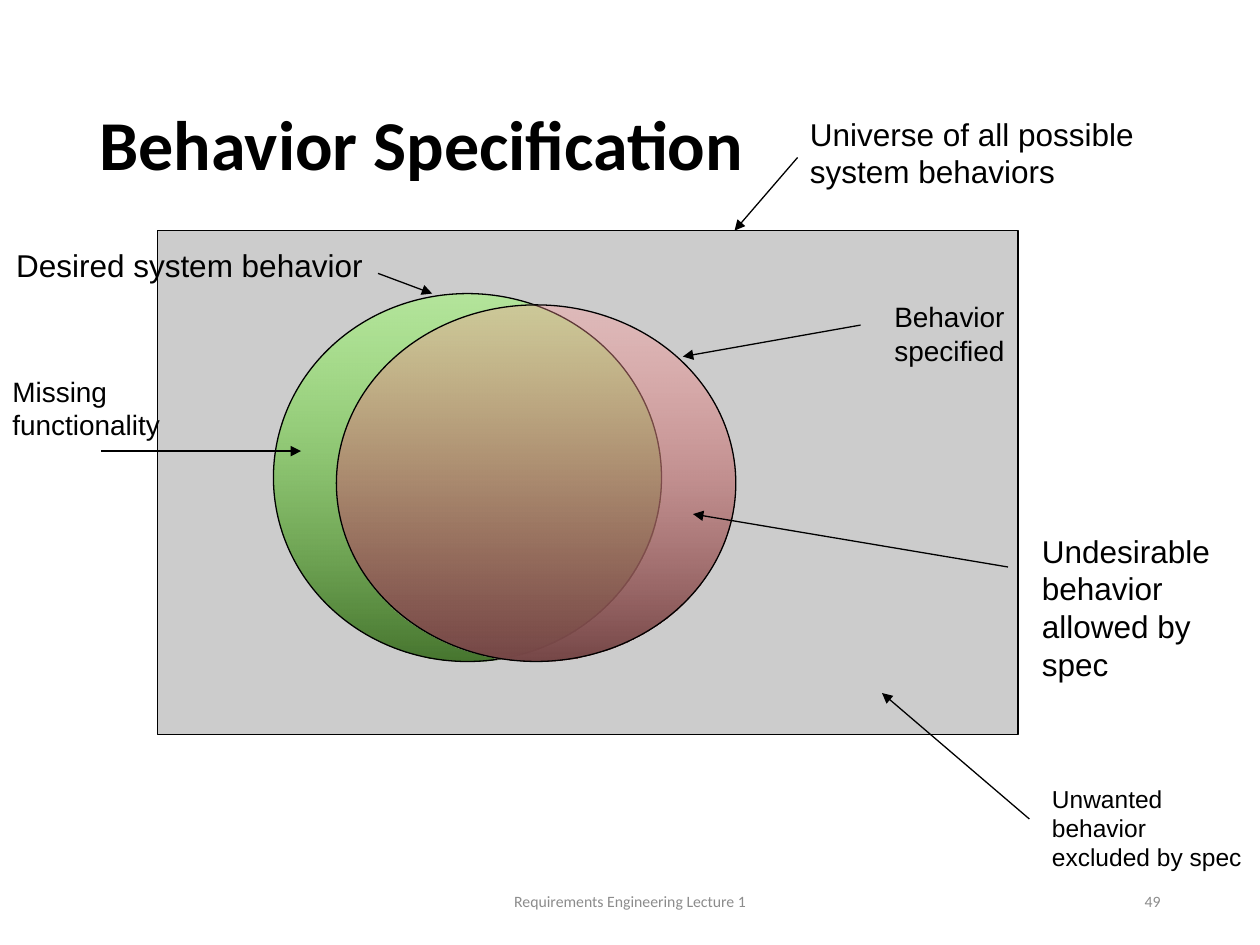
"""Build the Behavior Specification slide: a Venn diagram with labelled arrows."""
from lxml.etree import SubElement
from pptx import Presentation
from pptx.dml.color import RGBColor
from pptx.enum.shapes import MSO_CONNECTOR, MSO_SHAPE
from pptx.enum.text import MSO_ANCHOR as ANCHOR, PP_ALIGN as ALIGN
from pptx.oxml.ns import qn
from pptx.util import Inches, Pt

COLORS = {
    "black": "000000", "universe": "CCCCCC", "footer": "8C8C8C",
    "green": "99FF66", "dark_green": "47762F",
    "pink": "FF9999", "dark_red": "764747",
}
TITLE = ("Behavior Specification", (0.69, 0.77, 8.62, 0.81))
UNIVERSE = (1.25, 1.83, 6.83, 4)
ELLIPSES = [
    ((2.17, 2.33, 3.08, 2.92), "green", "dark_green", 48),
    ((2.67, 2.42, 3.17, 2.83), "pink", "dark_red", 35),
]
CALLOUTS = [
    ("Universe of all possible system behaviors", 18, (6.33, 0.86, 2.92, 0.71), (6.33, 1.25, 5.83, 1.83)),
    ("Desired system behavior", 18, (0.03, 1.9, 3.33, 0.4), (3, 2.17, 3.43, 2.33)),
    ("Behavior specified", 16, (7, 2.33, 1.67, 0.64), (6.83, 2.58, 5.42, 2.83)),
    ("Undesirable behavior allowed by spec", 18, (8.17, 4.17, 1.58, 1.31), (8, 4.5, 5.5, 4.08)),
    ("Missing functionality", 16, (0, 2.92, 1.51, 0.64), (0.8, 3.58, 2.39, 3.58)),
    ("Unwanted behavior excluded by spec", 14, (8.25, 6.17, 1.75, 0.81), (8.17, 6.5, 7, 5.5)),
]
FOOTERS = [
    ("Requirements Engineering Lecture 1", (3.31, 6.95, 3.38, 0.4), ALIGN.CENTER),
    ("49", (7.06, 6.95, 2.25, 0.4), ALIGN.RIGHT),
]


def rgb(name):
    return RGBColor.from_string(COLORS[name])


def inches(values):
    return [Inches(v) for v in values]


def write(sp, text, size, font="Arial", color="black", bold=False,
          align=ALIGN.LEFT, anchor=ANCHOR.TOP, spacing=None):
    tf = sp.text_frame
    tf.word_wrap = True
    tf.vertical_anchor = anchor
    p = tf.paragraphs[0]
    p.alignment = align
    p.line_spacing = spacing
    r = p.add_run()
    r.text = text
    for key, value in {"name": font, "size": Pt(size), "bold": bold}.items():
        setattr(r.font, key, value)
    r.font.color.rgb = rgb(color)


def outline(sp):
    sp.line.color.rgb = rgb("black")
    sp.line.width = Pt(0.75)


def add_outlined(s, kind, box):
    sp = s.shapes.add_shape(kind, *inches(box))
    sp.shadow.inherit = False
    outline(sp)
    return sp


def add_ellipse(s, box, top, bottom, alpha):
    sp = add_outlined(s, MSO_SHAPE.OVAL, box)
    sp.fill.gradient()
    sp.fill.gradient_angle = 270
    for stop, color, position in zip(sp.fill.gradient_stops, (top, bottom), (0, 1)):
        stop.color.rgb = rgb(color)
        stop.position = position
    first = sp.element.spPr.find(".//" + qn("a:srgbClr"))
    SubElement(first, qn("a:alpha"), val=str(alpha * 1000))


def add_arrow(s, ends):
    line = s.shapes.add_connector(MSO_CONNECTOR.STRAIGHT, *inches(ends))
    outline(line)
    SubElement(line.line._get_or_add_ln(), qn("a:tailEnd"), type="triangle")
    SubElement(line.element.spPr, qn("a:effectLst"))


def main():
    prs = Presentation()
    prs.slide_width, prs.slide_height = inches((10, 7.5))
    s = prs.slides.add_slide(prs.slide_layouts[5])

    text, box = TITLE
    title = s.shapes.title
    title.left, title.top, title.width, title.height = inches(box)
    write(title, text, 40, "Calibri", bold=True, anchor=ANCHOR.MIDDLE, spacing=0.9)

    universe = add_outlined(s, MSO_SHAPE.RECTANGLE, UNIVERSE)
    universe.fill.solid()
    universe.fill.fore_color.rgb = rgb("universe")
    for ellipse in ELLIPSES:
        add_ellipse(s, *ellipse)

    for text, size, box, ends in CALLOUTS:
        add_arrow(s, ends)
        write(s.shapes.add_textbox(*inches(box)), text, size)
    for text, box, align in FOOTERS:
        write(s.shapes.add_textbox(*inches(box)), text, 9, "Calibri", "footer",
              align=align, anchor=ANCHOR.MIDDLE)

    prs.save("out.pptx")


if __name__ == "__main__":
    main()
